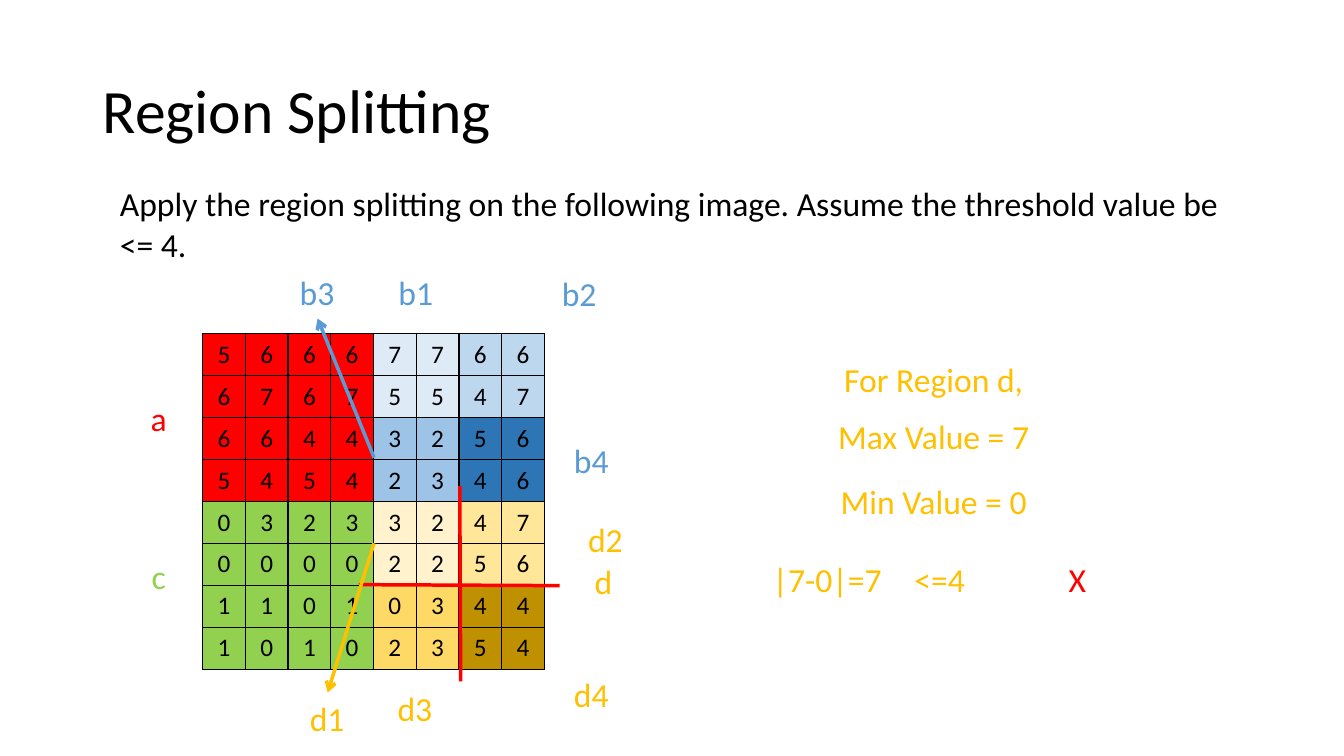
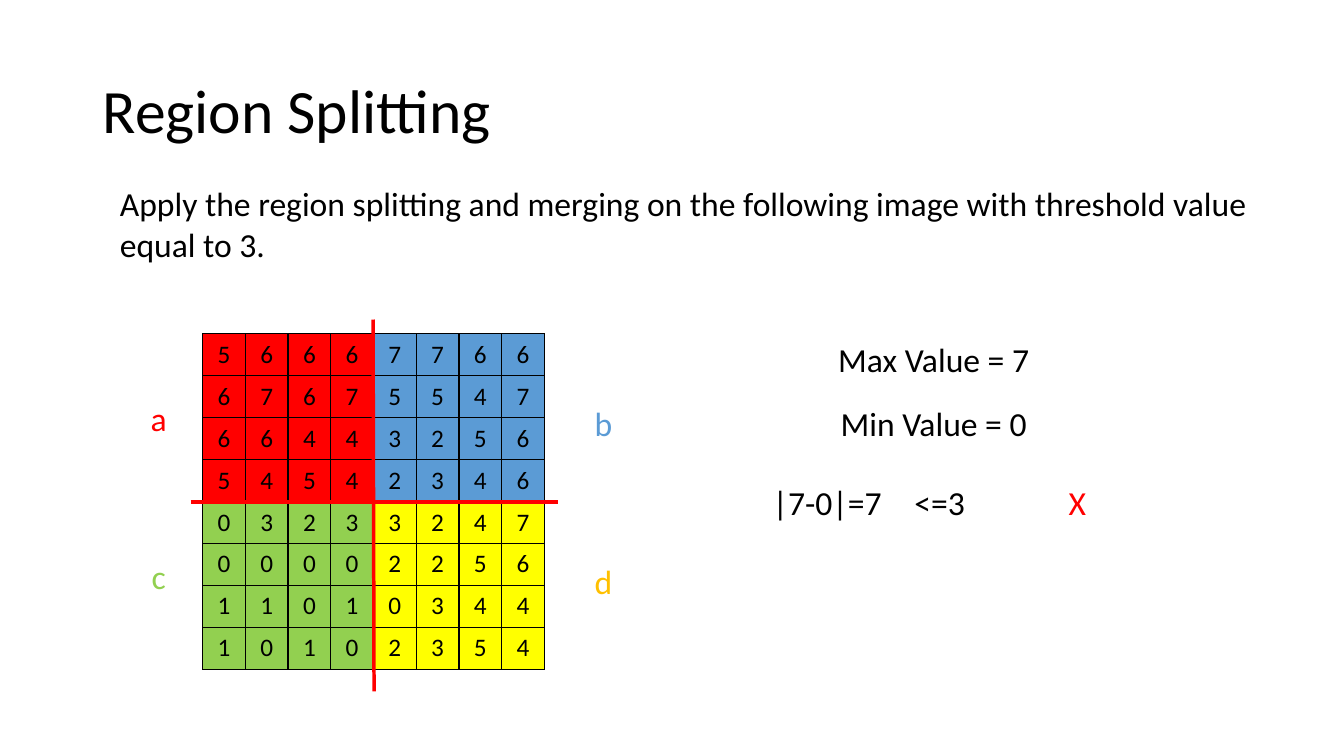
"""Build two slides on splitting an image into regions."""
from lxml.etree import SubElement
from pptx import Presentation
from pptx.dml.color import RGBColor
from pptx.enum.shapes import MSO_CONNECTOR
from pptx.enum.text import MSO_ANCHOR, MSO_AUTO_SIZE, PP_ALIGN
from pptx.oxml.ns import qn
from pptx.util import Inches, Pt

FONT = "Calibri"
COLORS = {
    "black": "000000", "red": "FF0000", "green": "92D050", "yellow": "FFFF00",
    "blue": "5B9BD5", "gold": "FFC000",
    "b1": "DEEBF7", "b2": "BDD7EE", "b3": "9DC3E6", "b4": "2E75B6",
    "d1": "FFF2CC", "d2": "FFE699", "d3": "FFD966", "d4": "BF9000",
}
PIXELS = ["56667766", "67675547", "66443256", "54542346",
          "03233247", "00002256", "11010344", "10102354"]
QUARTERS = [["red", "red", "blue", "blue"]] * 2 + [["green", "green", "yellow", "yellow"]] * 2
SPLIT_QUARTERS = [["red", "red", "b1", "b2"], ["red", "red", "b3", "b4"],
                  ["green", "green", "d1", "d2"], ["green", "green", "d3", "d4"]]
SHARED_LABELS = [("a", 1.26, 3.9, "red"), ("c", 1.26, 5.47, "green"), ("d", 5.67, 5.52, "gold")]
SPLIT_LABELS = [
    ("b1", 3.81, 2.65, "blue"), ("b2", 5.43, 2.66, "blue"),
    ("b3", 2.83, 2.65, "blue"), ("b4", 5.55, 4.32, "blue"),
    ("d1", 2.93, 6.87, "gold"), ("d2", 5.69, 5.1, "gold"),
    ("d3", 3.8, 6.78, "gold"), ("d4", 5.55, 6.64, "gold"),
]


def rgb(color):
    """Return the named colour."""
    return RGBColor.from_string(COLORS[color])


def style(paragraph, size, color="black", align=PP_ALIGN.LEFT):
    """Set the font and alignment of a paragraph."""
    paragraph.alignment = align
    paragraph.font.name = FONT
    paragraph.font.size = Pt(size)
    paragraph.font.color.rgb = rgb(color)


def add_text(slide, text, left, top, width, color="black", align=PP_ALIGN.CENTER, height=0.5):
    """Add a wrapped text box."""
    frame = slide.shapes.add_textbox(
        Inches(left), Inches(top), Inches(width), Inches(height)).text_frame
    frame.word_wrap = True
    frame.auto_size = MSO_AUTO_SIZE.SHAPE_TO_FIT_TEXT
    frame.text = text
    style(frame.paragraphs[0], 24, color, align)


def add_labels(slide, labels):
    """Add the names of regions beside the grid."""
    for name, left, top, color in labels:
        add_text(slide, name, left, top, 0.63, color)


def add_line(slide, start, end, color="red", arrow=False):
    """Add a straight line, with an arrowhead at its end if wanted."""
    connector = slide.shapes.add_connector(
        MSO_CONNECTOR.STRAIGHT, *(Inches(length) for length in start + end))
    connector.line.color.rgb = rgb(color)
    connector.line.width = Pt(2.5)
    properties = connector._element.spPr
    if arrow:
        SubElement(properties.find(qn("a:ln")), qn("a:tailEnd"), type="arrow")
    SubElement(properties, qn("a:effectLst"))


def add_borders(cell):
    """Draw a thin black border on each side of a cell."""
    properties = cell._tc.get_or_add_tcPr()
    for side in "LRTB":
        border = SubElement(properties, qn(f"a:ln{side}"), w=str(Pt(1)))
        fill = SubElement(border, qn("a:solidFill"))
        SubElement(fill, qn("a:srgbClr"), val=COLORS["black"])


def add_pixel_grid(slide, regions):
    """Add the pixel table, each two by two block in its region's colour."""
    count = len(PIXELS)
    grid = slide.shapes.add_table(
        count, count, Inches(2.01), Inches(3.31), Inches(3.39), Inches(3.33)).table
    grid.first_row = False
    grid.horz_banding = False
    for row, values in enumerate(PIXELS):
        for column, value in enumerate(values):
            cell = grid.cell(row, column)
            cell.text = value
            cell.vertical_anchor = MSO_ANCHOR.MIDDLE
            style(cell.text_frame.paragraphs[0], 18, align=PP_ALIGN.CENTER)
            add_borders(cell)
            cell.fill.solid()
            cell.fill.fore_color.rgb = rgb(regions[row // 2][column // 2])


def add_range_check(slide, top, threshold, color="black"):
    """Add the test of the value range against the threshold."""
    add_text(slide, "Max Value = 7", 8.02, top, 2.48, color)
    add_text(slide, "Min Value = 0", 8.02, top + 0.64, 2.48, color)
    check_top = top + 1.42
    add_text(slide, "|7-0|=7", 7.44, check_top, 1.53, color)
    add_text(slide, f"<={threshold}", 8.97, check_top, 1.53, color, PP_ALIGN.LEFT)
    add_text(slide, "X", 10.5, check_top, 0.56, "red", PP_ALIGN.LEFT)


def add_exercise(deck, task, regions):
    """Add a slide with the title, the task, the grid and the shared labels."""
    slide = deck.slides.add_slide(deck.slide_layouts[5])
    title = slide.shapes.title
    title.left, title.top = Inches(0.92), Inches(0.4)
    title.width, title.height = Inches(11.5), Inches(1.45)
    title.text_frame.text = "Region Splitting"
    title.text_frame.vertical_anchor = MSO_ANCHOR.MIDDLE
    heading = title.text_frame.paragraphs[0]
    heading.line_spacing = 0.9
    style(heading, 44)
    add_pixel_grid(slide, regions)
    add_text(slide, task, 1.09, 1.77, 11.38, align=PP_ALIGN.LEFT, height=0.91)
    add_labels(slide, SHARED_LABELS)
    return slide


def add_split_slide(deck):
    """Add the slide that splits regions b and d."""
    slide = add_exercise(
        deck,
        "Apply the region splitting on the following image. "
        "Assume the threshold value be <= 4.",
        SPLIT_QUARTERS)
    add_line(slide, (4.56, 4.82), (4.57, 6.76))
    add_line(slide, (3.56, 5.8), (5.55, 5.81))
    add_labels(slide, SPLIT_LABELS)
    add_line(slide, (3.71, 5.39), (3.25, 6.87), "gold", arrow=True)
    add_line(slide, (3.71, 4.54), (3.15, 3.16), "blue", arrow=True)
    add_text(slide, "For Region d,", 8.02, 3.51, 2.48, "gold")
    add_range_check(slide, 4.08, 4, "gold")


def add_merge_slide(deck):
    """Add the slide that splits the whole image into quarters."""
    slide = add_exercise(
        deck,
        "Apply the region splitting and merging on the following image "
        "with threshold value equal to 3.",
        QUARTERS)
    add_range_check(slide, 3.31, 3)
    add_line(slide, (3.7, 3.17), (3.71, 6.86))
    add_line(slide, (1.89, 4.98), (5.53, 4.98))
    add_labels(slide, [("b", 5.67, 3.95, "blue")])


def main():
    """Build and save the presentation."""
    deck = Presentation()
    deck.slide_width, deck.slide_height = Inches(13.33), Inches(7.5)
    add_split_slide(deck)
    add_merge_slide(deck)
    deck.save("out.pptx")


if __name__ == "__main__":
    main()
